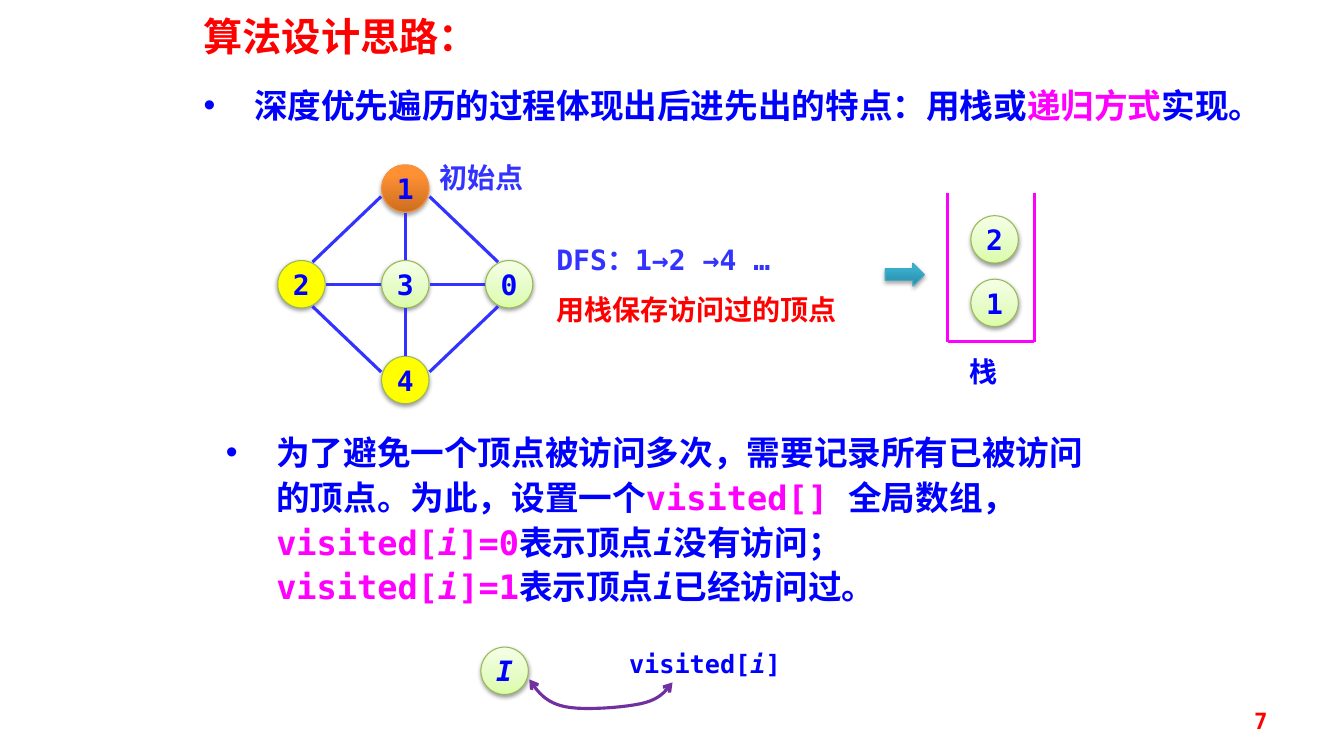
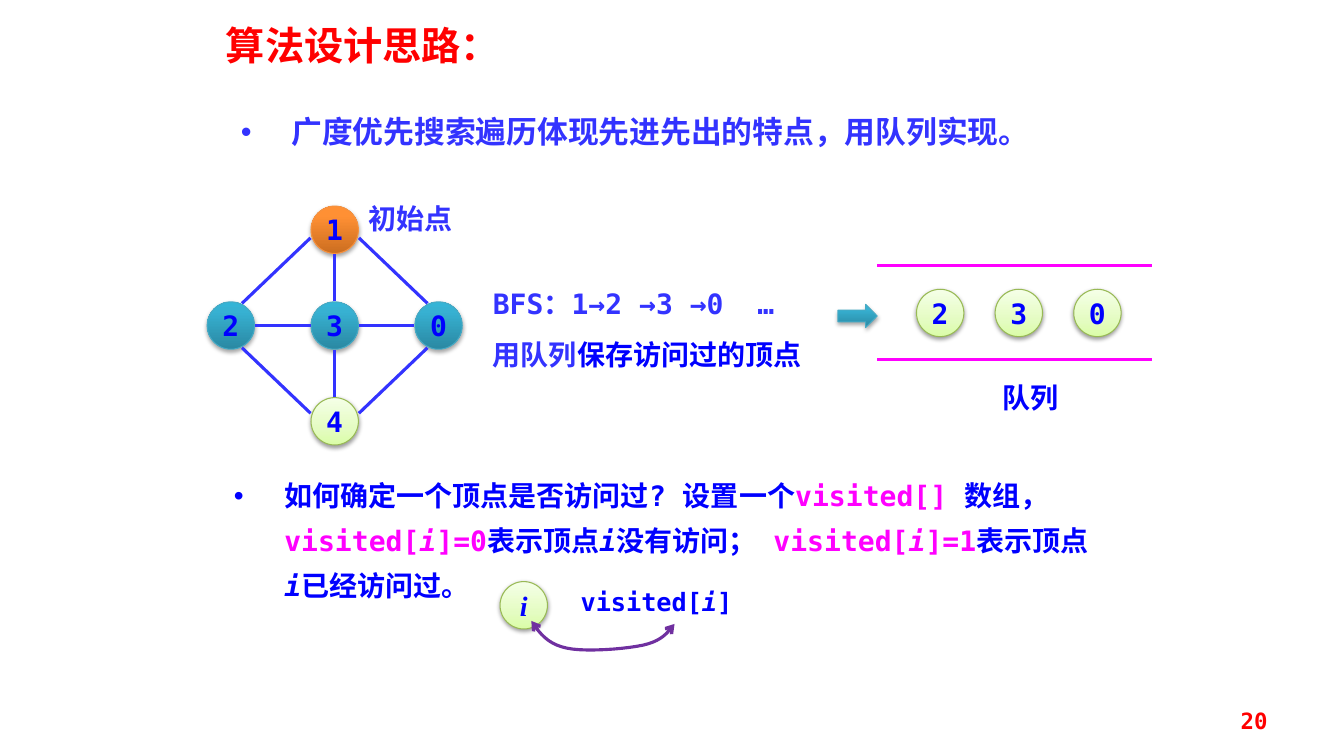
"""Build two slides on the design of depth-first and breadth-first graph traversal."""
from copy import deepcopy
from dataclasses import dataclass
from itertools import product
from typing import NamedTuple, Optional

from lxml.etree import SubElement
from pptx import Presentation
from pptx.dml.color import RGBColor
from pptx.enum.shapes import MSO_CONNECTOR, MSO_SHAPE
from pptx.enum.text import MSO_ANCHOR, MSO_AUTO_SIZE, PP_ALIGN
from pptx.oxml.ns import qn
from pptx.util import Inches, Pt

STRAIGHT = MSO_CONNECTOR.STRAIGHT
ELLIPSE, RIGHT_ARROW = MSO_SHAPE.OVAL, MSO_SHAPE.RIGHT_ARROW
TOP, MIDDLE = MSO_ANCHOR.TOP, MSO_ANCHOR.MIDDLE
LEFT, CENTER, RIGHT = PP_ALIGN.LEFT, PP_ALIGN.CENTER, PP_ALIGN.RIGHT
NO_AUTOFIT = MSO_AUTO_SIZE.NONE

BLUE = RGBColor(0x00, 0x00, 0xFF)
SOFT_BLUE = RGBColor(0x33, 0x33, 0xFF)
RED = RGBColor(0xFF, 0x00, 0x00)
MAGENTA = RGBColor(0xFF, 0x00, 0xFF)
PURPLE = RGBColor(0x70, 0x30, 0xA0)
YELLOW = RGBColor(0xFF, 0xFF, 0x00)
GREEN_LINE = RGBColor(0x98, 0xB9, 0x55)
ORANGE_LINE = RGBColor(0xF6, 0x92, 0x40)
TEAL_LINE = RGBColor(0x46, 0xAA, 0xC5)
GREEN_DARK = RGBColor(0xDA, 0xFD, 0xA7)
GREEN_MID = RGBColor(0xE4, 0xFC, 0xC2)
GREEN_LIGHT = RGBColor(0xF5, 0xFF, 0xE7)
ORANGE_DARK = RGBColor(0xCC, 0x6E, 0x20)
ORANGE_MID = RGBColor(0xFF, 0x90, 0x34)
ORANGE_LIGHT = RGBColor(0xFF, 0x91, 0x36)
TEAL_DARK = RGBColor(0x2A, 0x88, 0xA2)
TEAL_MID = RGBColor(0x37, 0xB1, 0xD2)
TEAL_LIGHT = RGBColor(0x34, 0xB4, 0xD6)

MONO, SANS, SERIF = "DejaVu Sans Mono", "Noto Sans CJK SC", "Times New Roman"
NODE_SIZE = 0.47
NODE_RADIUS = 0.24
COLUMN_STEP, ROW_STEP = 1.03, 0.95
LINE_WIDTH = 2.25
CURVE_STEPS = 10
LINK_CURVE = (
    ((0, 0), (0.08, 0.12), (0.16, 0.23), (0.35, 0.27)),
    ((0.35, 0.27), (0.53, 0.31), (0.93, 0.28), (1.11, 0.24)),
    ((1.11, 0.24), (1.29, 0.2), (1.35, 0.12), (1.42, 0.03)),
)


class Box(NamedTuple):
    left: float
    top: float
    width: float
    height: float


class Point(NamedTuple):
    x: float
    y: float


class Span(NamedTuple):
    text: str
    color: RGBColor = BLUE
    italic: bool = False


class Look(NamedTuple):
    stops: tuple
    line: RGBColor
    shadow_alpha: int = 38
    shadow_distance: float = 1.6


GREEN = Look(((0, GREEN_DARK), (0.35, GREEN_MID), (1, GREEN_LIGHT)), GREEN_LINE)
VISITED = Look(((0, YELLOW),), GREEN_LINE)
ORANGE = Look(((0, ORANGE_DARK), (0.8, ORANGE_MID), (1, ORANGE_LIGHT)), ORANGE_LINE, 35, 1.8)
TEAL = Look(((0, TEAL_DARK), (0.8, TEAL_MID), (1, TEAL_LIGHT)), TEAL_LINE, 35, 1.8)


class Node(NamedTuple):
    label: str
    left: float
    top: float
    look: Look = GREEN
    font: str = MONO
    italic: bool = False


@dataclass
class BulletList:
    box: Box
    spans: list
    size: int
    font: str = MONO
    line_spacing: Optional[int] = 32


@dataclass
class Label:
    box: Box
    paragraphs: list
    size: int = 20
    align: PP_ALIGN = CENTER
    line_spacing: float = 1.0
    anchor: MSO_ANCHOR = TOP


@dataclass
class TraversalSlide:
    number: str
    title_box: Box
    title_font: str
    bullets: list
    graph_center: Point
    graph_looks: dict
    labels: list
    nodes: list
    rails: list
    arrow: Point
    link_start: Point


def visited_spans(intro: str, array: str) -> list:
    """Return the bullet text that explains the visited array."""
    spans = [Span(intro), Span("visited[] ", MAGENTA), Span(array)]
    for value, ending in (("0", "没有访问； "), ("1", "已经访问过。")):
        spans += [Span("visited[", MAGENTA), Span("i", MAGENTA, True), Span(f"]={value}", MAGENTA),
                  Span("表示顶点"), Span("i", BLUE, True), Span(ending)]
    return spans


def place(shape, box: Box) -> None:
    """Move and size a shape."""
    for name, value in box._asdict().items():
        setattr(shape, name, Inches(value))


def add_spans(paragraph, spans: list, size: int, font: str) -> None:
    """Add bold coloured runs to a paragraph."""
    for span in spans:
        run = paragraph.add_run()
        run.text = span.text
        formats = {"size": Pt(size), "name": font, "bold": True, "italic": span.italic}
        for name, value in formats.items():
            setattr(run.font, name, value)
        run.font.color.rgb = span.color
        properties = run._r.get_or_add_rPr()
        properties.set("lang", "zh-CN")
        SubElement(properties, qn("a:ea"), typeface=font)


def set_frame(frame, anchor: MSO_ANCHOR, wrap: bool = True) -> None:
    """Set the anchor, wrapping and fitting of a text frame."""
    formats = {"auto_size": NO_AUTOFIT, "word_wrap": wrap, "vertical_anchor": anchor}
    for name, value in formats.items():
        setattr(frame, name, value)


def fill_title(slide, content: TraversalSlide) -> None:
    """Format the title placeholder."""
    title = slide.shapes.title
    place(title, content.title_box)
    set_frame(title.text_frame, TOP)
    paragraph = title.text_frame.paragraphs[0]
    paragraph.alignment = LEFT
    add_spans(paragraph, [Span("算法设计思路：", RED)], 28, content.title_font)


def fill_bullet(placeholder, bullet: BulletList) -> None:
    """Format one body placeholder as a bulleted paragraph."""
    place(placeholder, bullet.box)
    set_frame(placeholder.text_frame, TOP)
    paragraph = placeholder.text_frame.paragraphs[0]
    properties = paragraph._p.get_or_add_pPr()
    properties.set("marL", str(Inches(0.5)))
    properties.set("indent", str(-Inches(0.5)))
    paragraph.space_before = Pt(0)
    if bullet.line_spacing:
        paragraph.line_spacing = Pt(bullet.line_spacing)
    add_spans(paragraph, bullet.spans, bullet.size, bullet.font)


def add_label(slide, label: Label) -> None:
    """Add a text box."""
    box = slide.shapes.add_textbox(*map(Inches, label.box))
    frame = box.text_frame
    set_frame(frame, label.anchor)
    for index, spans in enumerate(label.paragraphs):
        paragraph = frame.add_paragraph() if index else frame.paragraphs[0]
        paragraph.alignment = label.align
        paragraph.line_spacing = label.line_spacing
        add_spans(paragraph, spans, label.size, MONO)


def apply_look(shape, look: Look) -> None:
    """Give a shape its fill, outline and soft shadow."""
    properties = shape._element.spPr
    if len(look.stops) == 1:
        shape.fill.solid()
        shape.fill.fore_color.rgb = look.stops[0][1]
    else:
        shape.fill.gradient()
        shape.fill.gradient_angle = 90
        stop_list = properties.find(qn("a:gradFill")).find(qn("a:gsLst"))
        stop_list.append(deepcopy(stop_list[0]))
        for stop, (position, color) in zip(shape.fill.gradient_stops, look.stops):
            stop.position = position
            stop.color.rgb = color
    shape.line.color.rgb = look.line
    shape.line.width = Pt(0.75)
    shape.shadow.inherit = False
    shadow = SubElement(properties.find(qn("a:effectLst")), qn("a:outerShdw"),
                        blurRad=str(Pt(3.1)), dist=str(Pt(look.shadow_distance)),
                        dir="5400000", rotWithShape="0")
    color = SubElement(shadow, qn("a:srgbClr"), val="000000")
    SubElement(color, qn("a:alpha"), val=str(look.shadow_alpha * 1000))


def add_node(slide, node: Node) -> None:
    """Add a labelled circle."""
    box = Box(node.left, node.top, NODE_SIZE, NODE_SIZE)
    shape = slide.shapes.add_shape(ELLIPSE, *map(Inches, box))
    apply_look(shape, node.look)
    set_frame(shape.text_frame, MIDDLE, wrap=False)
    paragraph = shape.text_frame.paragraphs[0]
    paragraph.alignment = CENTER
    add_spans(paragraph, [Span(node.label, BLUE, node.italic)], 20, node.font)


def add_line(slide, start: Point, end: Point, color: RGBColor) -> None:
    """Add a straight line without shadow."""
    connector = slide.shapes.add_connector(STRAIGHT, *map(Inches, (*start, *end)))
    connector.line.color.rgb = color
    connector.line.width = Pt(LINE_WIDTH)
    SubElement(connector._element.spPr, qn("a:effectLst"))


def add_graph(slide, center: Point, looks: dict) -> None:
    """Add the five vertices and eight edges around a centre."""
    directions = {"3": (0, 0), "2": (-1, 0), "0": (1, 0), "1": (0, -1), "4": (0, 1)}
    for label, (across, down) in directions.items():
        add_node(slide, Node(label, center.x + across * COLUMN_STEP - NODE_SIZE / 2,
                             center.y + down * ROW_STEP - NODE_SIZE / 2, looks.get(label, GREEN)))
    edges = [((across * NODE_RADIUS, down * 0.87), (across * 0.92, down * 0.22))
             for across, down in product((-1, 1), repeat=2)]
    edges += [((across * NODE_RADIUS, down * NODE_RADIUS),
               (across * (COLUMN_STEP - NODE_RADIUS), down * (ROW_STEP - NODE_RADIUS)))
              for across, down in directions.values() if across or down]
    for edge in edges:
        start, end = (Point(center.x + x, center.y + y) for x, y in edge)
        add_line(slide, start, end, SOFT_BLUE)


def add_link(slide, start: Point) -> None:
    """Add the curved two-headed arrow between vertex and array entry."""
    points = []
    for curve in LINK_CURVE:
        for step in range(1, CURVE_STEPS + 1):
            t = step / CURVE_STEPS
            weights = ((1 - t) ** 3, 3 * t * (1 - t) ** 2, 3 * t * t * (1 - t), t ** 3)
            points.append(tuple(Inches(origin + sum(w * p[axis] for w, p in zip(weights, curve)))
                                for axis, origin in enumerate(start)))
    builder = slide.shapes.build_freeform(Inches(start.x), Inches(start.y))
    builder.add_line_segments(points, close=False)
    shape = builder.convert_to_shape()
    shape.fill.background()
    shape.line.color.rgb = PURPLE
    shape.line.width = Pt(LINE_WIDTH)
    shape.shadow.inherit = False
    for end in ("a:headEnd", "a:tailEnd"):
        SubElement(shape.line._get_or_add_ln(), qn(end), type="arrow")


def build_slide(presentation, content: TraversalSlide) -> None:
    """Draw one traversal slide."""
    slide = presentation.slides.add_slide(presentation.slide_layouts[3])
    fill_title(slide, content)
    for index, bullet in enumerate(content.bullets, 1):
        fill_bullet(slide.placeholders[index], bullet)
    add_graph(slide, content.graph_center, content.graph_looks)
    start_box = Box(content.graph_center.x + 0.17, content.graph_center.y - 1.28, 1.17, 0.44)
    number_box = Box(9.56, 6.95, 3.11, 0.4)
    shared = [Label(start_box, [[Span("初始点", SOFT_BLUE)]]),
              Label(number_box, [[Span(content.number, RED)]], 16, RIGHT, anchor=MIDDLE)]
    for label in content.labels + shared:
        add_label(slide, label)
    for start, end in content.rails:
        add_line(slide, Point(*start), Point(*end), MAGENTA)
    for node in content.nodes:
        add_node(slide, node)
    arrow = slide.shapes.add_shape(RIGHT_ARROW, *map(Inches, (*content.arrow, 0.39, 0.23)))
    apply_look(arrow, TEAL)
    add_link(slide, content.link_start)


ENTRY = [[Span("visited["), Span("i", BLUE, True), Span("]")]]
SLIDES = [
    TraversalSlide(
        "7", Box(1.92, 0.07, 2.89, 0.57), MONO,
        [BulletList(Box(1.92, 0.75, 10.62, 0.52),
                    [Span("深度优先遍历的过程体现出后进先出的特点：用栈或"),
                     Span("递归方式", MAGENTA), Span("实现。")], 24),
         BulletList(Box(2.14, 4.19, 8.82, 1.86), visited_spans(
             "为了避免一个顶点被访问多次，需要记录所有已被访问的顶点。为此，设置一个", "全局数组， "), 24)],
        Point(4.02, 2.82), {"1": ORANGE, "2": VISITED, "4": VISITED},
        [Label(Box(5.42, 2.19, 3.36, 1.05), [[Span("DFS：1→2 →4 …", SOFT_BLUE)],
                                             [Span("用栈保存访问过的顶点", RED)]], 20, LEFT, 1.5),
         Label(Box(9.24, 3.47, 1.02, 0.44), [[Span("栈")]]),
         Label(Box(6.14, 6.38, 1.72, 0.4), ENTRY, 18, LEFT)],
        [Node("1", 9.63, 2.77), Node("2", 9.63, 2.14), Node("I", 4.77, 6.42, italic=True)],
        [((9.4, 1.91), (9.4, 3.39)), ((10.26, 1.91), (10.26, 3.39)), ((9.4, 3.39), (10.26, 3.39))],
        Point(8.78, 2.61), Point(5.25, 6.74)),
    TraversalSlide(
        "20", Box(2.14, 0.16, 2.81, 0.57), SANS,
        [BulletList(Box(2.29, 1.07, 8.2, 0.47),
                    [Span("广度优先搜索遍历体现先进先出的特点，用队列实现。", SOFT_BLUE)], 22, SANS, None),
         BulletList(Box(2.22, 4.59, 8.82, 1.4), visited_spans(
             "如何确定一个顶点是否访问过? 设置一个", "数组， "), 20)],
        Point(3.32, 3.23), {"1": ORANGE, "2": TEAL, "3": TEAL, "0": TEAL},
        [Label(Box(4.79, 2.63, 3.67, 1.05),
               [[Span("BFS：1→2 →3 →0  …", SOFT_BLUE)],
                [Span("用队列", SOFT_BLUE), Span("保存访问过的顶点")]], 20, LEFT, 1.5),
         Label(Box(9.71, 3.73, 1.02, 0.44), [[Span("队列")]]),
         Label(Box(5.66, 5.77, 1.79, 0.4), ENTRY, 18, LEFT)],
        [Node(text, 9.09 + index * 0.78, 2.87) for index, text in enumerate("230")]
        + [Node("i", 4.96, 5.77, font=SERIF, italic=True)],
        [((8.7, y), (11.43, y)) for y in (2.63, 3.57)],
        Point(8.31, 3.02), Point(5.27, 6.16)),
]


def main() -> None:
    """Build and save the presentation."""
    presentation = Presentation()
    presentation.slide_width, presentation.slide_height = Inches(13.33), Inches(7.5)
    for content in SLIDES:
        build_slide(presentation, content)
    presentation.save("out.pptx")


if __name__ == "__main__":
    main()
